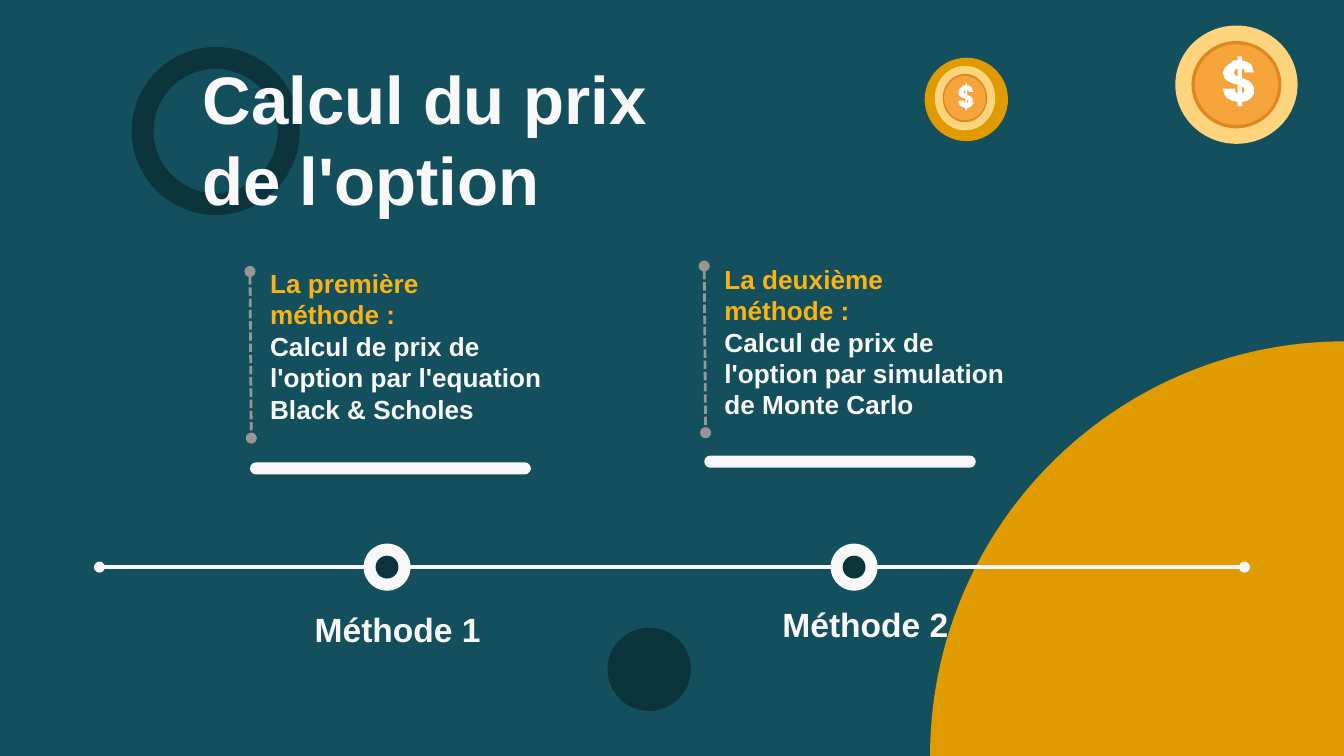
from lxml import etree
from pptx import Presentation, util as u
from pptx.dml.color import RGBColor
from pptx.enum import dml, shapes, text
from pptx.oxml.ns import qn

TEAL = RGBColor(0x13, 0x4F, 0x5C)
DARK = RGBColor(0x0C, 0x34, 0x3D)
GOLD = RGBColor(0xE0, 0x9B, 0x00)
AMBER = RGBColor(0xF9, 0xB3, 0x17)
PALE = RGBColor(0xF8, 0xF8, 0xF8)
GRAY = RGBColor(0x96, 0x96, 0x96)
CREAM = RGBColor(0xFE, 0xD5, 0x7D)
RUST = RGBColor(0xE1, 0x87, 0x1F)
PEACH = RGBColor(0xF6, 0xA5, 0x3C)
WHITE = RGBColor(0xFF, 0xFF, 0xFF)
KIND = shapes.MSO_SHAPE
INCH = u.Inches

deck = Presentation()
deck.slide_width = INCH(10)
deck.slide_height = int(deck.slide_width * 9 / 16)
slide = deck.slides.add_slide(deck.slide_layouts[5])
slide.background.fill.solid()
slide.background.fill.fore_color.rgb = TEAL
items = slide.shapes


def draw(kind, box, color):
    shape = items.add_shape(kind, *map(INCH, box))
    shape.shadow.inherit = False
    shape.fill.solid()
    shape.fill.fore_color.rgb = color
    shape.line.fill.background()
    return shape


def write(frame, lines, size, pads, align):
    form = {"word_wrap": True, "auto_size": text.MSO_AUTO_SIZE.NONE,
            "vertical_anchor": text.MSO_ANCHOR.TOP,
            "margin_left": INCH(pads[0]), "margin_right": INCH(pads[0]),
            "margin_top": INCH(pads[1]), "margin_bottom": INCH(pads[1])}
    for key, value in form.items():
        setattr(frame, key, value)
    for i, (words, color) in enumerate(lines):
        para = frame.add_paragraph() if i else frame.paragraphs[0]
        para.alignment, para.line_spacing = align, 1.0
        run = para.add_run()
        run.text = words
        for key, value in {"name": "Arial", "size": u.Pt(size), "bold": True}.items():
            setattr(run.font, key, value)
        run.font.color.rgb = color


draw(KIND.OVAL, (4.52, 4.67, 0.62, 0.62), DARK)
pie = draw(KIND.PIE, (6.92, 2.54, 6.17, 6.17), GOLD)
pie.rotation = 180
pie.adjustments[0], pie.adjustments[1] = 0, 54.26
draw(KIND.OVAL, (6.88, 0.43, 0.62, 0.62), GOLD)
ring = draw(KIND.DONUT, (0.98, 0.35, 1.25, 1.25), DARK)
ring.adjustments[0] = 0.13

title = items.title
title.left, title.top, title.width, title.height = map(INCH, (1.41, 0.38, 3.66, 0.59))
write(title.text_frame, [("Calcul du prix de l'option", PALE)], 36,
      (0.1, 0.05), text.PP_ALIGN.LEFT)
ring.element.addnext(title.element)

for ends, color, width, dash in [
    ((0.74, 4.22, 9.26, 4.22), PALE, 1.75, None),
    ((1.86, 2.02, 1.87, 3.26), GRAY, 1.5, dml.MSO_LINE.SQUARE_DOT),
    ((5.24, 1.98, 5.25, 3.22), GRAY, 1.5, dml.MSO_LINE.SQUARE_DOT),
]:
    rule = items.add_connector(shapes.MSO_CONNECTOR.STRAIGHT, *map(INCH, ends))
    rule.line.color.rgb = color
    rule.line.width = u.Pt(width)
    if dash:
        rule.line.dash_style = dash
    pen = rule.element.spPr.find(qn("a:ln"))
    for end in ("a:headEnd", "a:tailEnd"):
        etree.SubElement(pen, qn(end), type="oval")
    etree.SubElement(rule.element.spPr, qn("a:effectLst"))

for mid, name, box in [
    (2.88, "Méthode 1", (2.28, 4.53, 1.36, 0.3)),
    (6.355, "Méthode 2", (5.79, 4.49, 1.3, 0.3)),
]:
    for size, color in ((0.35, PALE), (0.17, DARK)):
        draw(KIND.OVAL, (mid - size / 2, 4.22 - size / 2, size, size), color)
    label = items.add_textbox(*map(INCH, box))
    write(label.text_frame, [(name, PALE)], 18, (0, 0), text.PP_ALIGN.CENTER)

for bar, box, head, body in [
    ((1.86, 3.44, 2.09, 0.09), (1.92, 1.94, 2.24, 1.51), "La première méthode\u00a0:",
     "Calcul de prix de l'option par l'equation Black & Scholes"),
    ((5.24, 3.39, 2.02, 0.09), (5.3, 1.91, 2.28, 1.28), "La deuxième méthode\u00a0:",
     "Calcul de prix de l'option par simulation de Monte Carlo"),
]:
    draw(KIND.ROUNDED_RECTANGLE, bar, PALE).adjustments[0] = 0.5
    note = items.add_textbox(*map(INCH, box))
    write(note.text_frame, [(head, AMBER), (body, PALE)], 14,
          (0.09, 0.05), text.PP_ALIGN.LEFT)

OUTER = [(11, 0), (11, 3), (8, 3.2), (4, 6), (1, 9), (0, 12), (1, 16), (3, 18),
         (7, 19.5), (11, 21), (11, 28), (9, 26.5), (9, 24), (0, 24), (1, 28),
         (3, 31), (7, 33.2), (11, 34), (11, 37), (14, 37), (14, 34), (18, 33),
         (21, 31), (23, 28), (23, 24), (22, 21), (19, 18), (14, 16), (14, 9),
         (16, 10), (16, 12), (23, 12), (22.5, 9), (21, 6), (18, 4), (14, 3), (14, 0)]
UPPER = [(11, 9), (9, 10), (8, 12), (9, 14), (11, 15)]
LOWER = [(14, 22), (16, 23.5), (16, 26), (14, 28)]

for mid, sizes, sign in [
    ((7.18, 0.73), ((0.45, 0.48), (0.33, 0.36), (0.31, 0.33)), (7.13, 0.62, 0.11, 0.2)),
    ((9.2, 0.63), ((0.91, 0.88), (0.67, 0.65), (0.62, 0.6)), (9.1, 0.42, 0.23, 0.37)),
]:
    for (wide, high), color in zip(sizes, (CREAM, RUST, PEACH)):
        draw(KIND.OVAL, (mid[0] - wide / 2, mid[1] - high / 2, wide, high), color)
    left, top, wide, high = map(INCH, sign)
    path = items.build_freeform(*OUTER[0], scale=(wide / 23, high / 37))
    path.add_line_segments(OUTER[1:])
    for hole in (UPPER, LOWER):
        path.move_to(*hole[0])
        path.add_line_segments(hole[1:])
    dollar = path.convert_to_shape(left, top)
    dollar.shadow.inherit = False
    dollar.fill.solid()
    dollar.fill.fore_color.rgb = WHITE
    dollar.line.fill.background()

deck.save("out.pptx")
